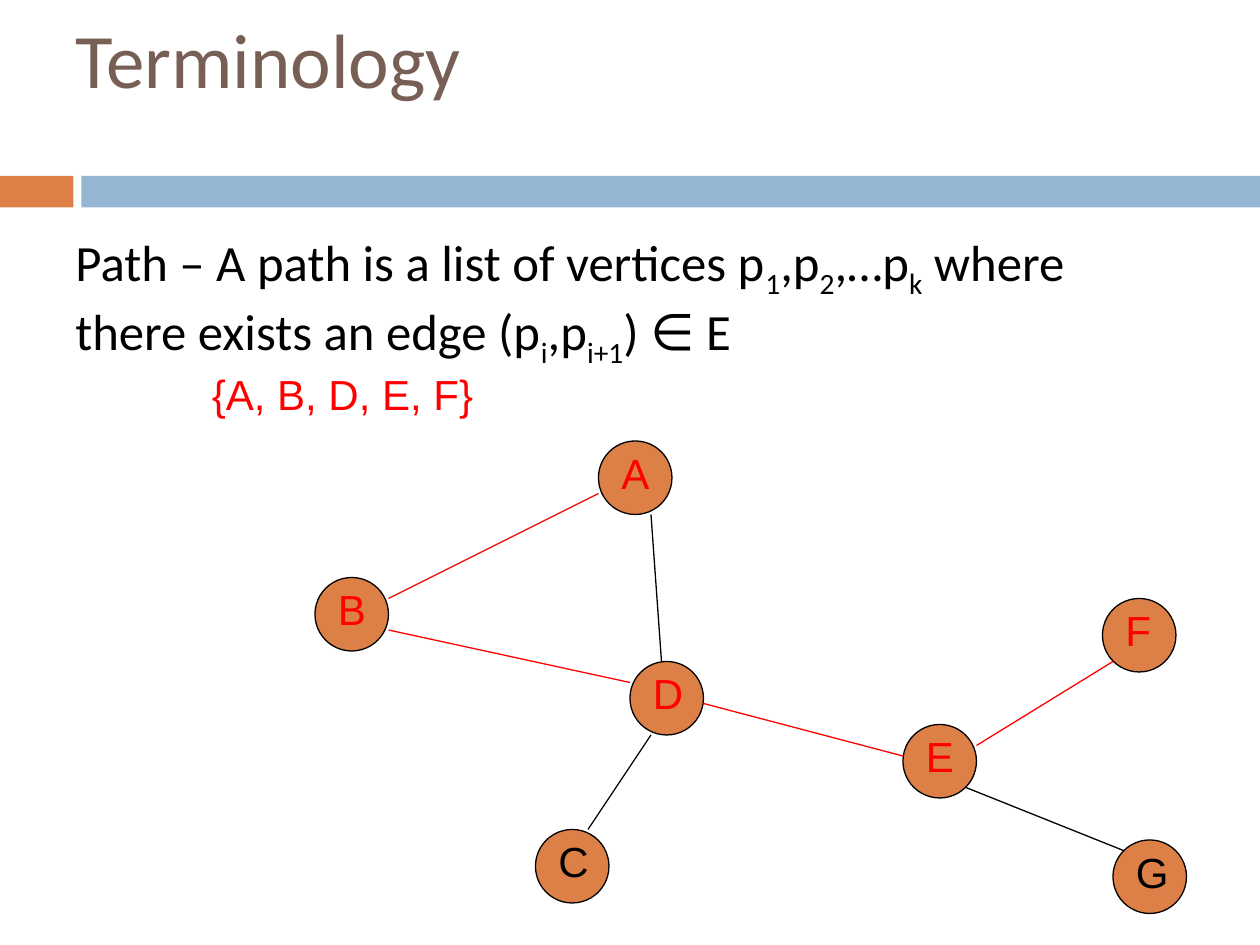
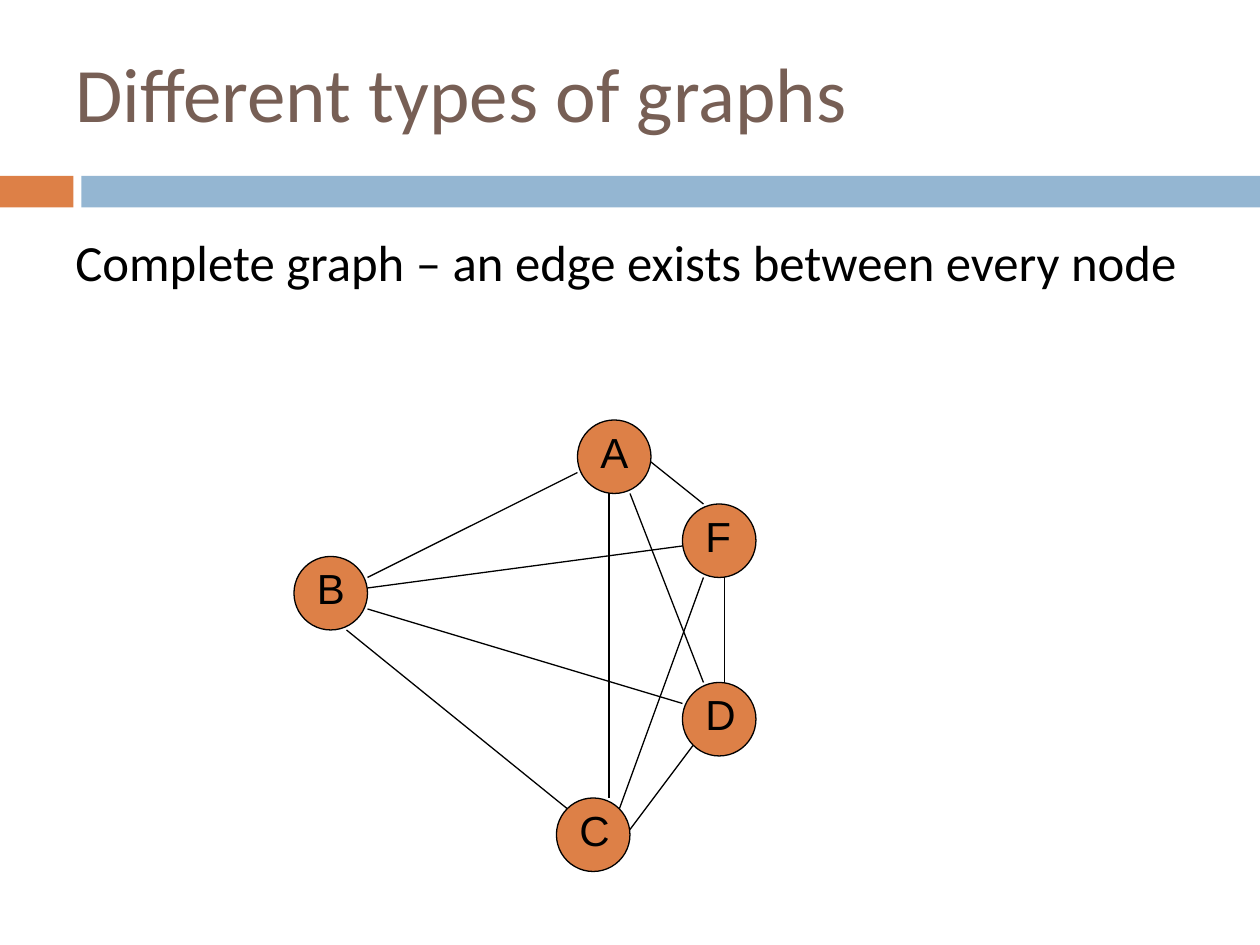
"""Build two slides on graph terms: a path and a complete graph."""
from dataclasses import dataclass

from lxml.etree import SubElement
from pptx import Presentation
from pptx.dml.color import RGBColor as RGB
from pptx.enum.shapes import MSO_CONNECTOR as LINK, MSO_SHAPE as FORM
from pptx.enum.text import MSO_ANCHOR as ANCHOR
from pptx.oxml.ns import qn
from pptx.util import Emu, Pt

SLIDES = [
    {
        "title": ("Terminology", (48, -24, 792, 136)),
        "body": (["Path – A path is a list of vertices p", "1", ",p", "2",
                  ",…p", "k", " where there exists an edge (p", "i", ",p",
                  "i+1", ") ∈ E"], (48, 171, 864, 112), 1.0),
        "route": "ABDEF",
        "note": ("{A, B, D, E, F}", (152, 276, 248, 48)),
        "nodes": {"A": (456, 336), "B": (240, 440), "C": (408, 632),
                  "E": (688, 552), "D": (480, 504), "F": (840, 456),
                  "G": (848, 640)},
        "edges": {"BA": (296, 456, 456, 376), "BD": (296, 480, 480, 520),
                  "DA": (504, 504, 496, 392), "DC": (496, 560, 448, 632),
                  "DE": (536, 536, 688, 576), "EF": (744, 568, 848, 504),
                  "EG": (736, 600, 856, 648)},
    },
    {
        "title": ("Different types of graphs", (48, 12, 792, 116)),
        "body": (["Complete graph – an edge exists between every node"],
                 (48, 176, 864, 104), 0.9),
        "route": "",
        "note": None,
        "nodes": {"A": (440, 320), "B": (224, 424), "C": (424, 608),
                  "D": (520, 520), "F": (520, 384)},
        "edges": {"BA": (280, 440, 440, 360), "BD": (280, 464, 520, 536),
                  "BC": (264, 480, 432, 616), "BF": (280, 448, 520, 416),
                  "AC": (464, 376, 464, 608), "AD": (480, 376, 536, 520),
                  "AF": (496, 352, 536, 384), "CD": (480, 632, 528, 568),
                  "FC": (536, 440, 472, 616), "FD": (552, 440, 552, 520)},
    },
]


@dataclass(frozen=True)
class Theme:
    """Hold the colours, fonts and sizes that the slides share."""
    orange: str = "DD8047"
    blue: str = "94B6D2"
    brown: str = "775F55"
    black: str = "000000"
    red: str = "FF0000"
    sans: str = "Calibri"
    plain: str = "Arial"
    head: int = 44
    text: int = 29
    label: int = 24
    line: float = 0.75


THEME = Theme()
SIZE = (960, 720)
BANDS = [((0, 134, 56, 24), THEME.orange), ((62, 134, 898, 24), THEME.blue)]
NODE, INSET, LABEL = 56, 8, 48


def px(*nums):
    """Turn px into EMU at 96 px to the inch."""
    return [Emu(n * 9525) for n in nums]


def write(host, parts, box, font=THEME.sans, size=THEME.text,
          color=THEME.black, before=0, lines=1.0, anchor=ANCHOR.TOP):
    """Add a text box in which every second part is a subscript."""
    frame = host.add_textbox(*px(*box)).text_frame
    frame.word_wrap = True
    frame.vertical_anchor = anchor
    para = frame.paragraphs[0]
    para.space_before = Pt(before)
    para.line_spacing = lines
    for i, part in enumerate(parts):
        run = para.add_run()
        run.text = part
        run.font.name = font
        run.font.size = Pt(size)
        run.font.color.rgb = RGB.from_string(color)
        if i % 2:
            run.font._element.set("baseline", "-25000")


def draw(host, form, box, fill, line=None):
    """Add a filled shape, with an outline if a line colour is given."""
    shape = host.add_shape(form, *px(*box))
    shape.shadow.inherit = False
    shape.fill.solid()
    shape.fill.fore_color.rgb = RGB.from_string(fill)
    if line:
        shape.line.color.rgb = RGB.from_string(line)
        shape.line.width = Pt(THEME.line)
    else:
        shape.line.fill.background()


def mark(host, text, box, color):
    """Write a graph label."""
    write(host, [text], box, font=THEME.plain, size=THEME.label,
          color=color, before=2)


def node(host, name, spot, color):
    """Group a circle with its label."""
    x, y = spot
    group = host.add_group_shape().shapes
    draw(group, FORM.OVAL, (x, y, NODE, NODE), THEME.orange, THEME.black)
    mark(group, name, (x + INSET, y, LABEL, LABEL), color)


def edge(host, ends, color):
    """Join two points with a thin line."""
    link = host.add_connector(LINK.STRAIGHT, *px(*ends))
    link.line.color.rgb = RGB.from_string(color)
    link.line.width = Pt(THEME.line)
    SubElement(link._element.spPr, qn("a:effectLst"))


def build(deck, data):
    """Lay out one slide."""
    host = deck.slides.add_slide(deck.slide_layouts[6]).shapes
    for box, fill in BANDS:
        draw(host, FORM.RECTANGLE, box, fill)
    route = data["route"]
    steps = [{a, b} for a, b in zip(route, route[1:])]
    for name, spot in data["nodes"].items():
        node(host, name, spot, THEME.red if name in route else THEME.black)
    for pair, ends in data["edges"].items():
        edge(host, ends, THEME.red if set(pair) in steps else THEME.black)
    if data["note"]:
        mark(host, *data["note"], THEME.red)
    title, box = data["title"]
    write(host, [title], box, size=THEME.head, color=THEME.brown,
          anchor=ANCHOR.MIDDLE)
    parts, box, lines = data["body"]
    write(host, parts, box, before=7, lines=lines)


def main():
    """Build and save the deck."""
    deck = Presentation()
    deck.slide_width, deck.slide_height = px(*SIZE)
    for data in SLIDES:
        build(deck, data)
    deck.save("out.pptx")


if __name__ == "__main__":
    main()
